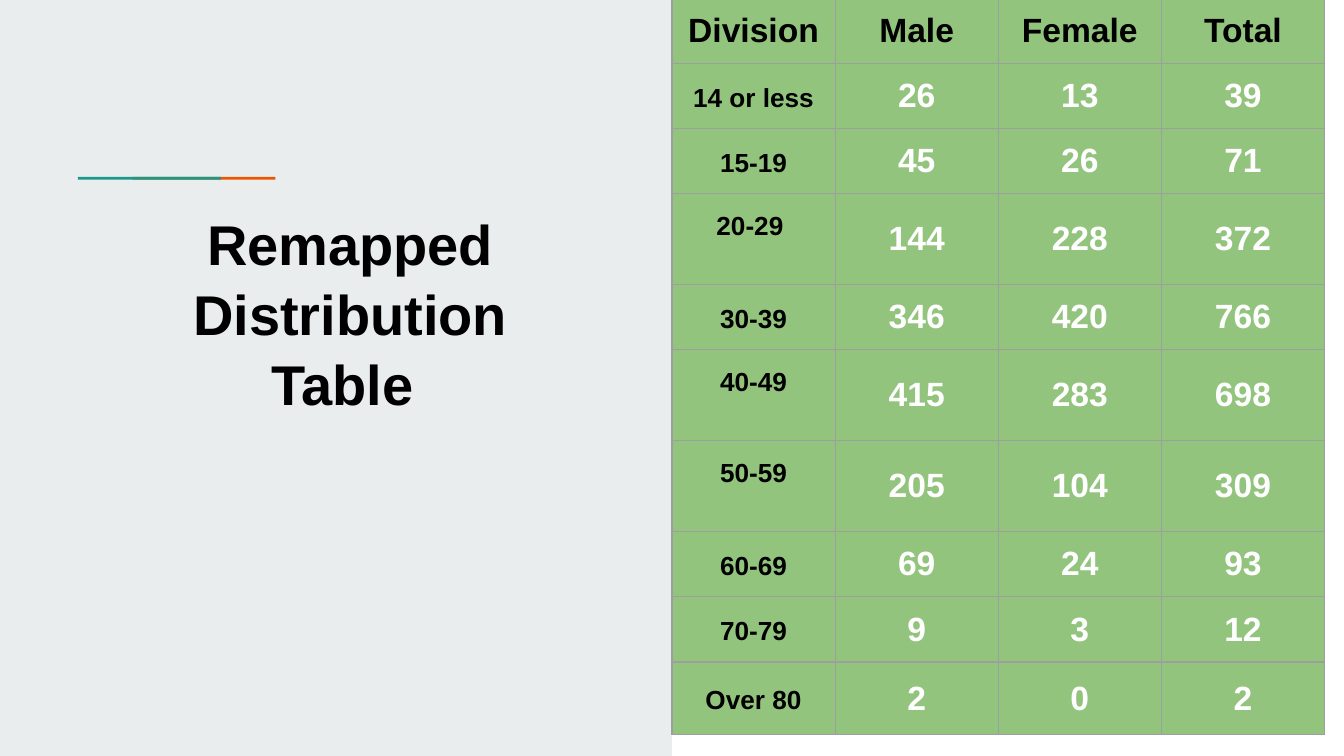
from pptx import Presentation
from pptx.dml.color import RGBColor
from pptx.enum.shapes import MSO_SHAPE
from pptx.enum.text import MSO_ANCHOR, MSO_AUTO_SIZE, PP_ALIGN
from pptx.oxml.ns import qn
from pptx.util import Pt
from lxml.etree import SubElement

COLORS = {
    "panel": "E9EDEE", "orange": "EB5600", "teal": "1A9988",
    "cell": "93C47D", "border": "9E9E9E", "dark": "000000", "light": "FFFFFF",
}
TITLE = "Remapped Distribution Table "
HEADER = ("Division", "Male", "Female", "Total")
DIVISIONS = [
    ("14 or less", 26, 13, 39),
    ("15-19", 45, 26, 71),
    ("20-29 ", 144, 228, 372),
    ("30-39", 346, 420, 766),
    ("40-49", 415, 283, 698),
    ("50-59", 205, 104, 309),
    ("60-69", 69, 24, 93),
    ("70-79", 9, 3, 12),
    ("Over 80", 2, 0, 2),
]
BLOCKS = [
    ("panel", 0, 0, 360, 405),
    ("orange", 71, 94.8, 76.6, 1.5),
    ("teal", 41.8, 94.8, 76.6, 1.5),
]
ROW_HEIGHT, TALL_HEIGHT, LAST_HEIGHT = 34.9, 48.75, 39
TALL_ROWS = (3, 5, 6)
COLUMN_WIDTH = 87.4
INSETS = {f"margin_{side}": Pt(7.2) for side in ("left", "right", "top", "bottom")}
CELL_INSETS = {**INSETS, "margin_top": Pt(7.1), "margin_bottom": Pt(7.1)}


def rgb(name):
    return RGBColor.from_string(COLORS[name])


def apply(target, formats):
    for name, value in formats.items():
        setattr(target, name, value)


def write(frame, text, size, color, spacing):
    para = frame.paragraphs[0]
    apply(para, {"alignment": PP_ALIGN.CENTER, "line_spacing": spacing})
    span = para.add_run()
    span.text = text
    apply(span.font, {"name": "Arial", "size": Pt(size), "bold": True})
    span.font.color.rgb = rgb(color)


def add_borders(cell):
    properties = cell._tc.get_or_add_tcPr()
    for index, side in enumerate(("lnL", "lnR", "lnT", "lnB")):
        line = properties.makeelement(qn(f"a:{side}"), {"w": str(Pt(0.75))})
        fill = SubElement(line, qn("a:solidFill"))
        SubElement(fill, qn("a:srgbClr"), val=COLORS["border"])
        properties.insert(index, line)


deck = Presentation()
apply(deck, {"slide_width": Pt(720), "slide_height": Pt(405)})
page = deck.slides.add_slide(deck.slide_layouts[5])

for color, *place in BLOCKS:
    block = page.shapes.add_shape(MSO_SHAPE.RECTANGLE, *map(Pt, place))
    block.shadow.inherit = False
    block.fill.solid()
    block.fill.fore_color.rgb = rgb(color)
    block.line.fill.background()

rows = [HEADER, *DIVISIONS]
last = len(rows) - 1
heights = [TALL_HEIGHT if row in TALL_ROWS else LAST_HEIGHT if row == last else ROW_HEIGHT
           for row in range(len(rows))]
table = page.shapes.add_table(
    len(rows), len(HEADER), Pt(360), Pt(-0.9),
    Pt(COLUMN_WIDTH * len(HEADER)), Pt(sum(heights))).table
apply(table, {"first_row": False, "horz_banding": False})
for column in table.columns:
    column.width = Pt(COLUMN_WIDTH)

for row, values in enumerate(rows):
    table.rows[row].height = Pt(heights[row])
    for column, value in enumerate(values):
        cell = table.cell(row, column)
        label = row > 0 and column == 0
        raised = label and row in TALL_ROWS
        anchor = MSO_ANCHOR.TOP if raised else MSO_ANCHOR.MIDDLE
        apply(cell, {**CELL_INSETS, "vertical_anchor": anchor})
        cell.fill.solid()
        cell.fill.fore_color.rgb = rgb("cell")
        add_borders(cell)
        write(cell.text_frame, str(value), 14 if label else 18,
              "dark" if row == 0 or label else "light", 1.15 if label else 1.0)

title = page.shapes.title
page.shapes._spTree.append(title._element)
apply(title, {"left": Pt(57.6), "top": Pt(103.7), "width": Pt(260), "height": Pt(133.2)})
apply(title.text_frame, {**INSETS, "word_wrap": True, "auto_size": MSO_AUTO_SIZE.NONE,
                         "vertical_anchor": MSO_ANCHOR.TOP})
write(title.text_frame, TITLE, 30, "dark", 1.04)

deck.save("out.pptx")
